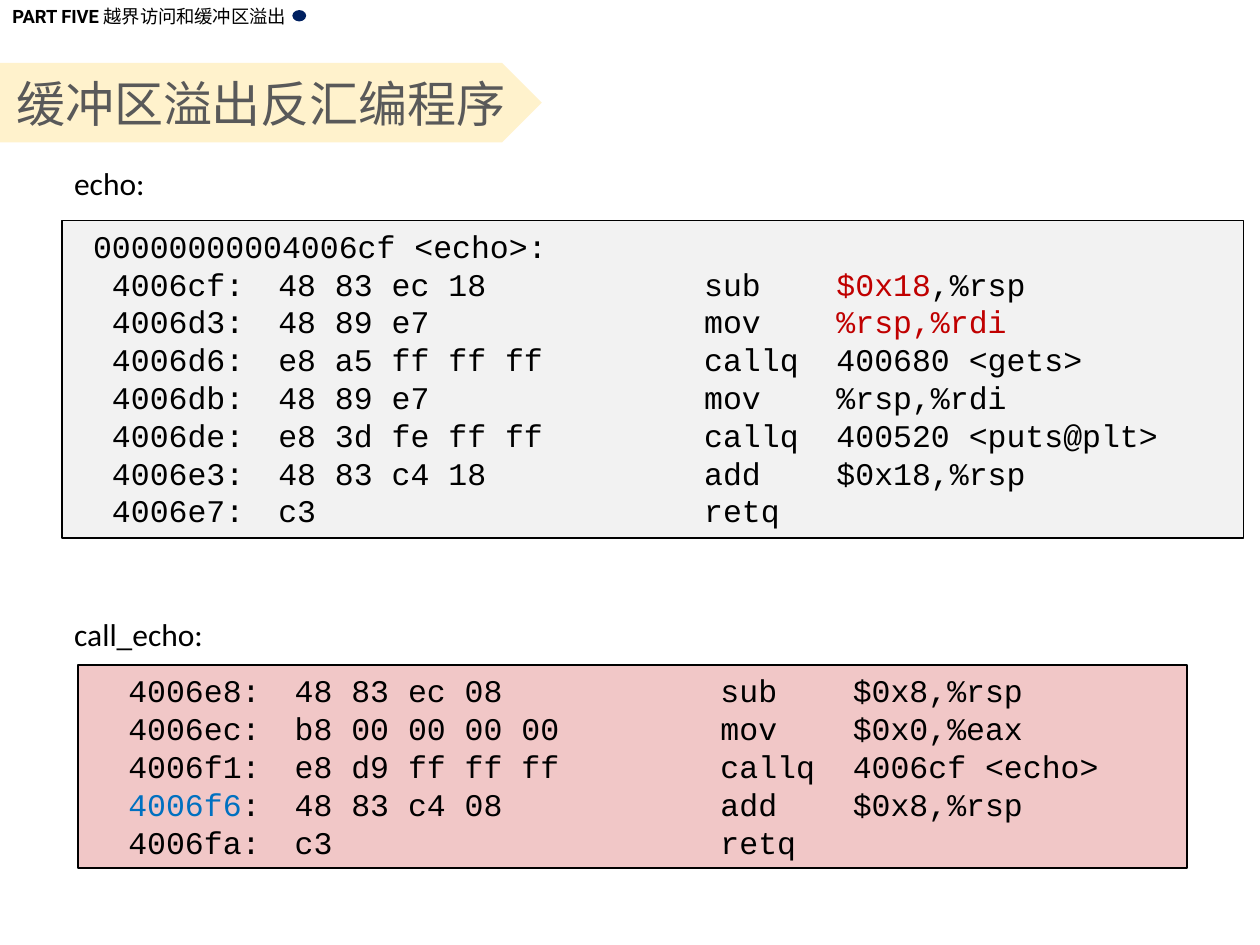
from lxml.etree import SubElement
from pptx import Presentation
from pptx.dml.color import RGBColor
from pptx.enum.shapes import MSO_SHAPE
from pptx.enum.text import MSO_ANCHOR, PP_ALIGN
from pptx.oxml.ns import qn
from pptx.util import Inches, Pt

BLACK = RGBColor(0x00, 0x00, 0x00)
NAVY = RGBColor(0x00, 0x20, 0x60)
CREAM = RGBColor(0xFF, 0xF2, 0xCC)
DARK_GREY = RGBColor(0x59, 0x59, 0x59)
PALE_GREY = RGBColor(0xF2, 0xF2, 0xF2)
PINK = RGBColor(0xF1, 0xC7, 0xC7)
RED = RGBColor(0xC0, 0x00, 0x00)
BLUE = RGBColor(0x00, 0x70, 0xC0)

CJK_FONT = "Noto Sans CJK SC"
CODE_TABS = (1.62, 5, 6.05)  # machine code, mnemonic, operands

ECHO_CODE = [
    [" 00000000004006cf <echo>:"],
    ["  4006cf:\t48 83 ec 18\tsub\t", ("$0x18", RED), ",%rsp"],
    ["  4006d3:\t48 89 e7\tmov\t", ("%rsp,%rdi", RED)],
    ["  4006d6:\te8 a5 ff ff ff\tcallq\t400680 <gets>"],
    ["  4006db:\t48 89 e7\tmov\t%rsp,%rdi"],
    ["  4006de:\te8 3d fe ff ff\tcallq\t400520 <puts@plt>"],
    ["  4006e3:\t48 83 c4 18\tadd\t$0x18,%rsp"],
    ["  4006e7:\tc3\tretq"],
]
CALL_ECHO_CODE = [
    ["  4006e8:\t48 83 ec 08\tsub\t$0x8,%rsp"],
    ["  4006ec:\tb8 00 00 00 00\tmov\t$0x0,%eax"],
    ["  4006f1:\te8 d9 ff ff ff\tcallq\t4006cf <echo>"],
    ["  ", ("4006f6", BLUE), ":\t48 83 c4 08\tadd\t$0x8,%rsp"],
    ["  4006fa:\tc3\tretq"],
]


def add_run(paragraph, text, color=BLACK, **font_format):
    run = paragraph.add_run()
    run.text = text
    for attribute, value in font_format.items():
        setattr(run.font, attribute, value)
    run.font.color.rgb = color
    SubElement(run.font._element, qn("a:ea"), typeface=CJK_FONT)


def add_panel(slide, preset, box, fill):
    panel = slide.shapes.add_shape(preset, *map(Inches, box))
    panel.shadow.inherit = False
    panel.fill.solid()
    panel.fill.fore_color.rgb = fill
    panel.line.fill.background()
    return panel


def add_label(slide, box):
    """Add an unwrapped text box and return its first paragraph."""
    frame = slide.shapes.add_textbox(*map(Inches, box)).text_frame
    frame.word_wrap = False
    return frame.paragraphs[0]


def add_header(slide, box):
    left, top, width, _ = box
    section = add_label(slide, box)
    add_run(section, "PART FIVE ", name="Roboto", size=Pt(10.5), bold=True)
    add_run(section, "越界访问和缓冲区溢出", name=CJK_FONT, size=Pt(10.5))
    dot = (left + width - 0.09, top + 0.09, 0.11, 0.09)
    add_panel(slide, MSO_SHAPE.OVAL, dot, NAVY)


def add_title(slide, box):
    frame = add_panel(slide, MSO_SHAPE.PENTAGON, box, CREAM).text_frame
    frame.word_wrap = True
    frame.vertical_anchor = MSO_ANCHOR.MIDDLE
    title = frame.paragraphs[0]
    title.alignment = PP_ALIGN.CENTER
    add_run(title, "缓冲区溢出反汇编程序", DARK_GREY, name="Roboto", size=Pt(28))


def set_tabs(paragraph, positions):
    tabs = SubElement(paragraph._p.get_or_add_pPr(), qn("a:tabLst"))
    for position in positions:
        SubElement(tabs, qn("a:tab"), pos=str(Inches(position)), algn="l")


def add_listing(slide, box, fill, lines):
    panel = add_panel(slide, MSO_SHAPE.RECTANGLE, box, fill)
    panel.line.color.rgb = BLACK
    panel.line.width = Pt(1)
    frame = panel.text_frame
    frame.word_wrap = True
    frame.vertical_anchor = MSO_ANCHOR.TOP
    for index, parts in enumerate(lines):
        line = frame.add_paragraph() if index else frame.paragraphs[0]
        line.alignment = PP_ALIGN.LEFT
        set_tabs(line, CODE_TABS)
        for part in parts:
            text, color = (part, BLACK) if isinstance(part, str) else part
            add_run(line, text, color, name="Courier New", size=Pt(18))


def add_function(slide, name, label_box, code_box, fill, lines):
    add_listing(slide, code_box, fill, lines)
    add_run(add_label(slide, label_box), name, name="Calibri", size=Pt(18))


def main():
    presentation = Presentation()
    presentation.slide_width = Inches(10)
    presentation.slide_height = Inches(7.5)
    slide = presentation.slides.add_slide(presentation.slide_layouts[6])
    add_header(slide, (0, -0.01, 2.41, 0.28))
    add_title(slide, (0, 0.5, 4.3, 0.63))
    add_function(slide, "echo:", (0.49, 1.25, 0.97, 0.5),
                 (0.49, 1.75, 9.38, 2.52), PALE_GREY, ECHO_CODE)
    add_function(slide, "call_echo:", (0.49, 4.83, 1.61, 0.5),
                 (0.62, 5.28, 8.8, 1.61), PINK, CALL_ECHO_CODE)
    presentation.save("out.pptx")


if __name__ == "__main__":
    main()
